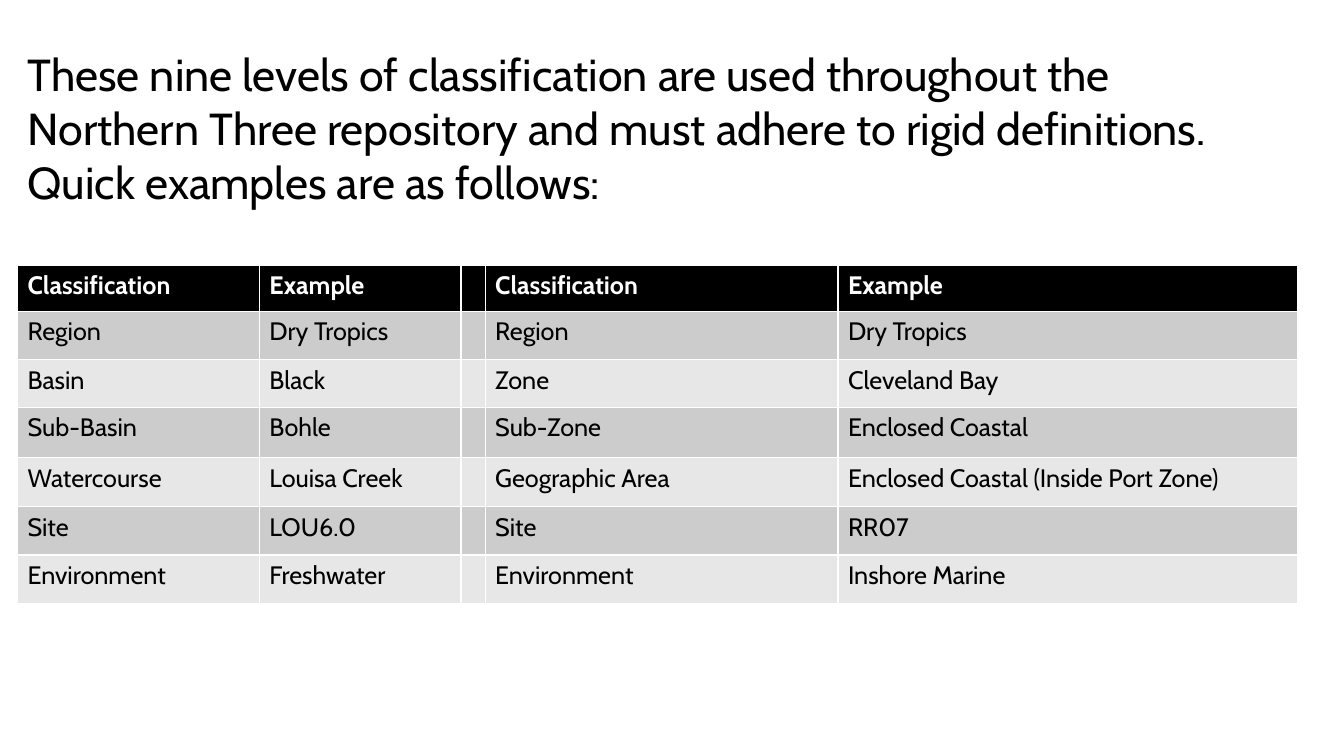
import pptx
import pptx.dml.color
import pptx.enum.text
import pptx.util

Pt = pptx.util.Pt

FONT = "Cabin"
TITLE = (
    "These nine levels of classification are used throughout the Northern Three "
    "repository and must adhere to rigid definitions. Quick examples are as follows:"
)
ROWS = [
    ("Classification", "Example", "", "Classification", "Example"),
    ("Region", "Dry Tropics", "", "Region", "Dry Tropics"),
    ("Basin", "Black", "", "Zone", "Cleveland Bay"),
    ("Sub-Basin", "Bohle", "", "Sub-Zone", "Enclosed Coastal"),
    ("Watercourse", "Louisa Creek", "", "Geographic Area",
     "Enclosed Coastal (Inside Port Zone)"),
    ("Site", "LOU6.0", "", "Site", "RR07"),
    ("Environment", "Freshwater", "", "Environment", "Inshore Marine"),
]
COLUMN_WIDTHS = [172.8, 144, 16.8, 252, 328.2]
ROW_HEIGHTS = [33, 34.5, 34, 36, 35, 34.5, 34.5]
LEFT = 12.5
TABLE_TOP = 189.5
HEADER_FILL = "000000"
BAND_FILLS = ("CCCCCC", "E7E7E7")


def rgb(value):
    return pptx.dml.color.RGBColor.from_string(value)


def style_font(paragraph, size, color, bold=False):
    font = paragraph.font
    font.name = FONT
    font.size = Pt(size)
    font.bold = bold
    font.color.rgb = rgb(color)


def add_title(slide):
    title = slide.shapes.title
    title.left, title.top, title.width, title.height = map(Pt, (LEFT, 30, 890, 124))
    frame = title.text_frame
    frame.text = TITLE
    frame.word_wrap = True
    frame.auto_size = pptx.enum.text.MSO_AUTO_SIZE.SHAPE_TO_FIT_TEXT
    frame.vertical_anchor = pptx.enum.text.MSO_ANCHOR.TOP
    paragraph = frame.paragraphs[0]
    paragraph.alignment = pptx.enum.text.PP_ALIGN.LEFT
    style_font(paragraph, 32, "000000")


def add_classification_table(slide):
    """Add the table; its default style draws the white cell borders."""
    table = slide.shapes.add_table(
        len(ROWS), len(COLUMN_WIDTHS), Pt(LEFT), Pt(TABLE_TOP),
        Pt(sum(COLUMN_WIDTHS)), Pt(sum(ROW_HEIGHTS)),
    ).table
    for column, width in zip(table.columns, COLUMN_WIDTHS):
        column.width = Pt(width)
    for row_index, (row, height, texts) in enumerate(zip(table.rows, ROW_HEIGHTS, ROWS)):
        row.height = Pt(height)
        is_header = row_index == 0
        fill = HEADER_FILL if is_header else BAND_FILLS[(row_index - 1) % 2]
        for cell, text in zip(row.cells, texts):
            cell.text = text
            cell.fill.solid()
            cell.fill.fore_color.rgb = rgb(fill)
            color = "FFFFFF" if is_header else "000000"
            style_font(cell.text_frame.paragraphs[0], 18, color, is_header)


def main():
    presentation = pptx.Presentation()
    presentation.slide_width = Pt(960)
    presentation.slide_height = Pt(540)
    title_only = presentation.slide_layouts[5]
    slide = presentation.slides.add_slide(title_only)
    add_title(slide)
    add_classification_table(slide)
    presentation.save("out.pptx")


if __name__ == "__main__":
    main()
